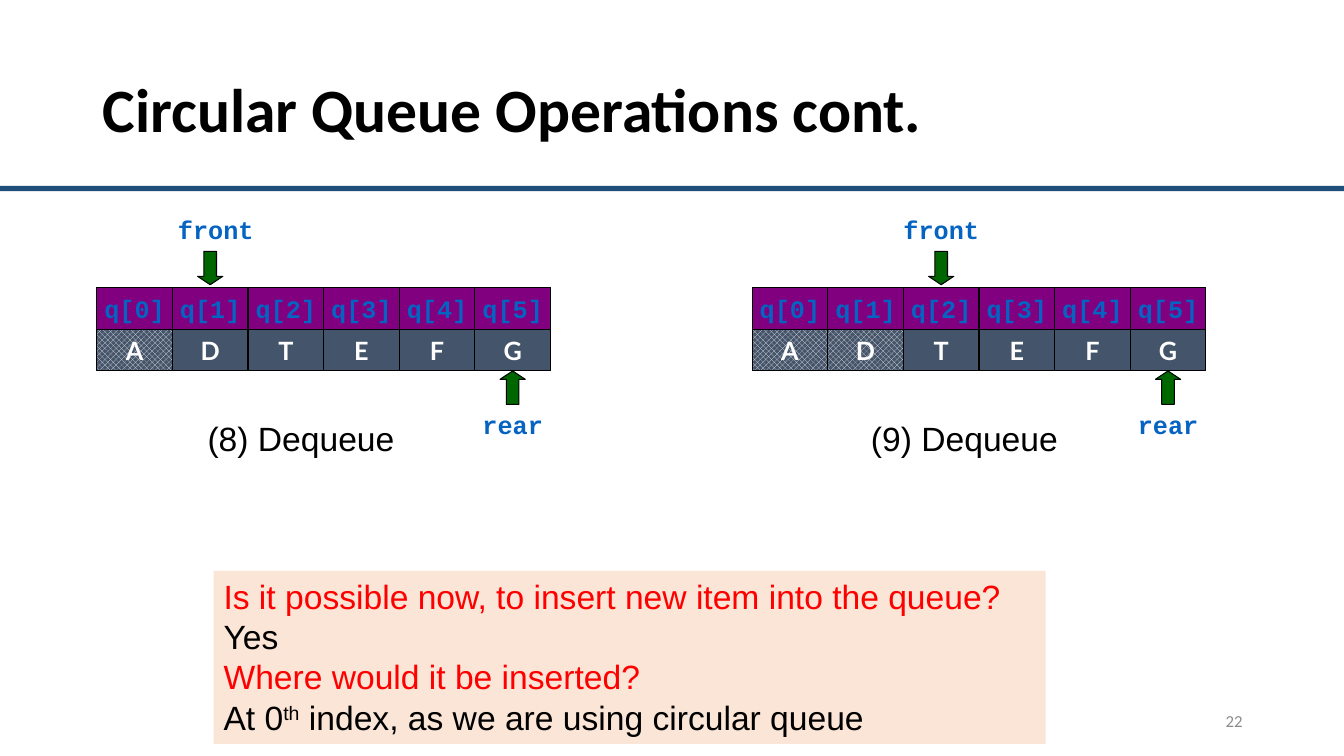
from pptx import Presentation
from pptx.dml.color import RGBColor
from pptx.enum.dml import MSO_PATTERN
from pptx.enum.shapes import MSO_SHAPE
from pptx.enum.text import MSO_ANCHOR, PP_ALIGN
from pptx.util import Inches, Pt

WIDE, HIGH = 13.33, 7.5
LEFT, TOP = 0.96, 2.85  # grid origin: top left corner of the first queue
COL, ROW = 0.25, 0.415
CELL = 3  # columns per queue cell


def color(code):
    return RGBColor.from_string(code)


def grid(col, row, cols, rows):
    """Turn grid columns and rows into left, top, width, height."""
    return [Inches(n) for n in (LEFT + col * COL, TOP + row * ROW, cols * COL, rows * ROW)]


def share(x, y, w, h):
    """Turn shares of the slide's size into left, top, width, height."""
    return [Inches(n) for n in (x * WIDE, y * HIGH, w * WIDE, h * HIGH)]


def write(frame, lines, size=24, font="Arial", ink="000000", bold=False,
          align=PP_ALIGN.LEFT, anchor=MSO_ANCHOR.TOP, wrap=True, space=1.0):
    """Fill a frame; a line is a string or a list of (text, format) runs."""
    frame.word_wrap, frame.vertical_anchor = wrap, anchor
    for i, line in enumerate(lines):
        para = frame.add_paragraph() if i else frame.paragraphs[0]
        para.alignment, para.line_spacing = align, space
        for text, form in [(line, {})] if isinstance(line, str) else line:
            run = para.add_run()
            run.text = text
            run.font.name, run.font.size, run.font.bold = font, Pt(size), bold
            run.font.color.rgb = color(form.get("ink", ink))
            if "base" in form:
                run.font._element.set("baseline", str(form["base"] * 1000))


class Deck:
    code = dict(size=18, font="Courier New", ink="0563C1", bold=True, align=PP_ALIGN.CENTER)
    item = dict(code, font="Lato", ink="FFFFFF")
    mid = dict(anchor=MSO_ANCHOR.MIDDLE, wrap=False)

    def __init__(self):
        self.pres = Presentation()
        self.pres.slide_width, self.pres.slide_height = Inches(WIDE), Inches(HIGH)
        self.slide = self.pres.slides.add_slide(self.pres.slide_layouts[5])

    def title(self, text, area):
        head = self.slide.shapes.title
        head.left, head.top, head.width, head.height = area
        write(head.text_frame, [text], size=44, font="Calibri", bold=True,
              anchor=MSO_ANCHOR.MIDDLE, space=0.9)

    def shape(self, area, fill, kind=MSO_SHAPE.RECTANGLE, edge=None):
        form = self.slide.shapes.add_shape(kind, *area)
        form.shadow.inherit = False
        form.fill.solid()
        form.fill.fore_color.rgb = color(fill)
        if edge:
            form.line.color.rgb, form.line.width = color(edge), Pt(0.75)
        else:
            form.line.fill.background()
        return form

    def text(self, area, text, **form):
        write(self.slide.shapes.add_textbox(*area).text_frame, [text], **form)

    def cell(self, col, row, text, fill, style, used=False):
        box = self.shape(grid(col, row, CELL, 1), fill, edge="000000")
        if used:
            box.fill.patterned()
            box.fill.pattern = MSO_PATTERN.OUTLINED_DIAMOND
            box.fill.fore_color.rgb, box.fill.back_color.rgb = color("E7E6E6"), color(fill)
        write(box.text_frame, [text], **style, **self.mid)

    def mark(self, col, text, kind, tip, label, shift=0):
        """Point an arrow at the cell starting at col and label it."""
        arrow = self.shape(grid(col + 1, tip, 1, 0.8), "006600", kind, "000000")
        arrow.adjustments[0], arrow.adjustments[1] = 0.5, 0.333
        self.text(grid(col - 0.66 + shift, label, 4.32, 0.96), text, **self.code)

    def queue(self, col, items, front, note, indent, shift=0):
        """Draw a queue whose cells before front are already dequeued."""
        for i, item in enumerate(items):
            left = col + i * CELL
            self.cell(left, 0, f"q[{i}]", "800080", self.code)
            self.cell(left, 1, item, "44546A", self.item, used=i < front)
        self.mark(col + front * CELL, "front", MSO_SHAPE.DOWN_ARROW, -0.86, -1.86, shift)
        self.mark(col + (len(items) - 1) * CELL, "rear", MSO_SHAPE.UP_ARROW, 2, 2.8)
        self.text(grid(col + indent, 3, 11.68, 1.22), note)


def main():
    deck = Deck()
    deck.shape(share(0, 0.246, 1, 0.007), "1F4E79")
    deck.title("Circular Queue Operations cont.", share(0.069, 0.053, 0.863, 0.193))
    deck.text(share(0.707, 0.927, 0.225, 0.053), "22", size=12, font="Calibri",
              ink="8C8C8C", align=PP_ALIGN.RIGHT, anchor=MSO_ANCHOR.MIDDLE)
    deck.queue(0, "ADTEFG", 1, "(8) Dequeue", 4, shift=0.22)
    deck.queue(26, "ADTEFG", 2, "(9) Dequeue", 4.32)
    red = dict(ink="FF0000")
    panel = deck.shape(share(0.159, 0.755, 0.619, 0.229), "FBE5D6")
    write(panel.text_frame, [
        [("Is it possible now, to insert new item into the queue?", red)],
        "Yes",
        [("Where would it be inserted?", red)],
        [("At 0", {}), ("th", dict(base=30)),
         (" index, as we are using circular queue", {})],
    ])
    deck.pres.save("out.pptx")


if __name__ == "__main__":
    main()
